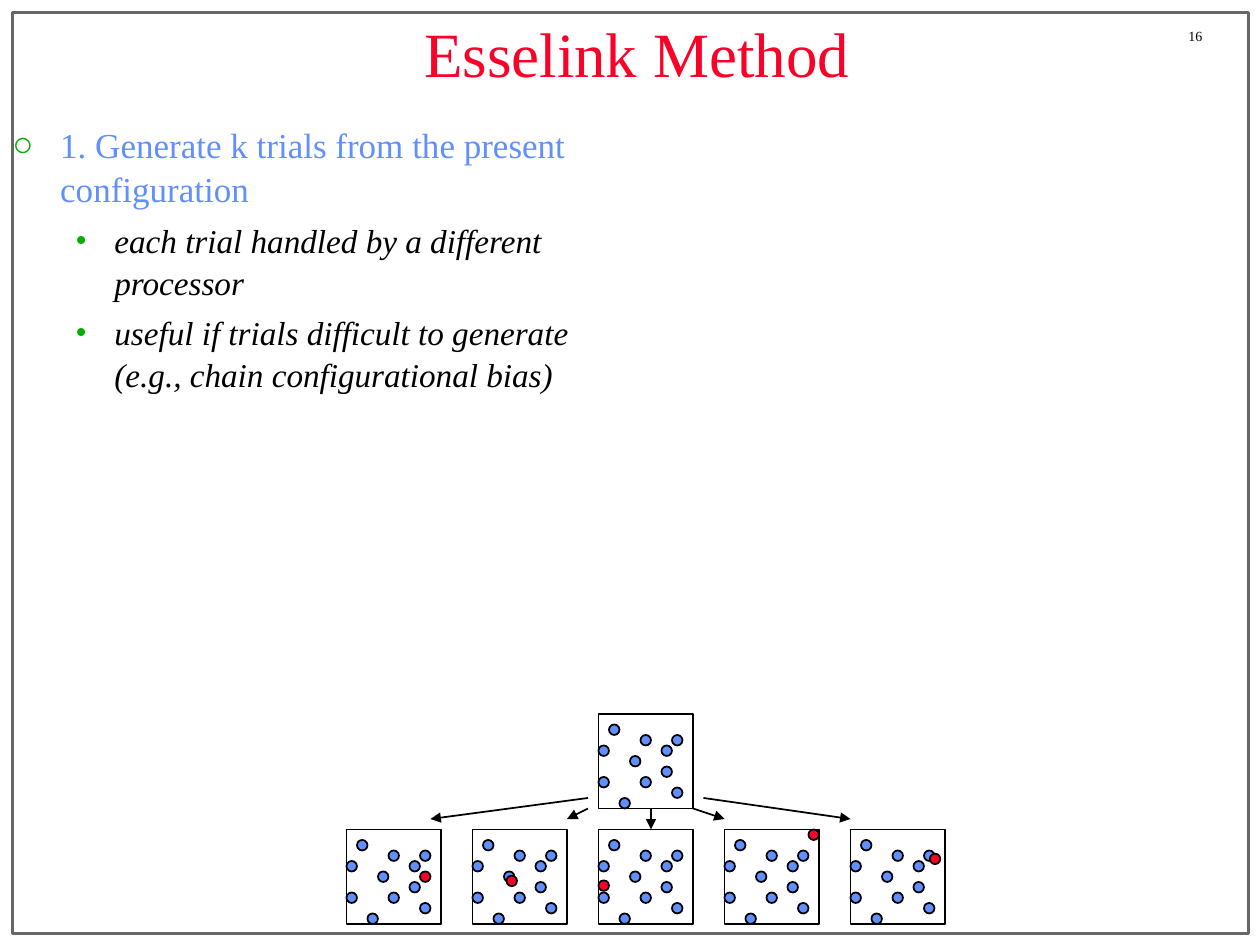
"""Build the Esselink Method slide with its tree of trial configurations."""
import dataclasses

import lxml.etree
import pptx
import pptx.dml.color
import pptx.enum.shapes
import pptx.enum.text
import pptx.oxml.ns
import pptx.util


@dataclasses.dataclass(frozen=True)
class Theme:
    font: str = "Times New Roman"
    red: str = "FC0128"
    blue: str = "618FFD"
    green: str = "00AE00"
    black: str = "000000"
    white: str = "FFFFFF"
    grey: str = "676767"
    title_size: int = 36
    point_size: int = 20
    detail_size: int = 19
    number_size: int = 8
    body_spacing: float = 1.05


theme = Theme()
rgb = pptx.dml.color.RGBColor.from_string
qn = pptx.oxml.ns.qn
Kind = pptx.enum.shapes.MSO_SHAPE
Align = pptx.enum.text.PP_ALIGN
Anchor = pptx.enum.text.MSO_ANCHOR

deck = pptx.Presentation()
deck.slide_width = pptx.util.Inches(10)
deck.slide_height = pptx.util.Inches(7.5)
page = deck.slides.add_slide(deck.slide_layouts[6])
unit = deck.slide_width / 120


def add_outline(shapes, kind, column, row, width, height, fill=None, line=theme.black, weight=1):
    shape = shapes.add_shape(kind, *(round(n * unit) for n in (column, row, width, height)))
    shape.shadow.inherit = False
    if fill:
        shape.fill.solid()
        shape.fill.fore_color.rgb = rgb(fill)
    else:
        shape.fill.background()
    shape.line.color.rgb = rgb(line)
    shape.line.width = pptx.util.Pt(weight)


def add_text(column, row, width, height, lines, align=Align.LEFT, anchor=Anchor.TOP):
    box = page.shapes.add_textbox(*(round(n * unit) for n in (column, row, width, height)))
    box.text_frame.word_wrap = True
    box.text_frame.vertical_anchor = anchor
    for index, (text, size, color, italic) in enumerate(lines):
        para = box.text_frame.paragraphs[0] if index == 0 else box.text_frame.add_paragraph()
        para.alignment = align
        span = para.add_run()
        span.text = text
        span.font.name = theme.font
        span.font.size = pptx.util.Pt(size)
        span.font.color.rgb = rgb(color)
        span.font.italic = italic
    return box


add_outline(page.shapes, Kind.RECTANGLE, 1.2, 1.2, 117.7, 87.7, line=theme.grey, weight=2)
add_text(112, 2, 8, 2.8, [("16", theme.number_size, theme.black, False)])
add_text(9, -1, 103.3, 11.9, [("Esselink Method", theme.title_size, theme.red, False)],
         Align.CENTER, Anchor.MIDDLE)

body = add_text(0, 11, 60, 54, [
    ("1. Generate k trials from the present configuration", theme.point_size, theme.blue, False),
    ("each trial handled by a different processor", theme.detail_size, theme.black, True),
    ("useful if trials difficult to generate (e.g., chain configurational bias)",
     theme.detail_size, theme.black, True),
])
bullets = [(0, 0.38, 0.38, "○"), (1, 0.81, 0.31, "•"), (1, 0.81, 0.31, "•")]
for para, (level, margin, hanging, mark) in zip(body.text_frame.paragraphs, bullets):
    para.level = level
    para.line_spacing = theme.body_spacing
    para.space_before = pptx.util.Pt(4.8 * level)
    properties = para._p.get_or_add_pPr()
    properties.set("marL", str(pptx.util.Inches(margin)))
    properties.set("indent", str(-pptx.util.Inches(hanging)))
    bullet_color = lxml.etree.SubElement(properties, qn("a:buClr"))
    lxml.etree.SubElement(bullet_color, qn("a:srgbClr"), val=theme.green)
    lxml.etree.SubElement(properties, qn("a:buFont"), typeface=theme.font)
    lxml.etree.SubElement(properties, qn("a:buChar"), char=mark)

cell_size = 9
trial_row = 79
trial_columns = [33 + 12 * index for index in range(5)]
particles = [(1, 1), (4, 2), (6, 3), (6, 5), (4, 6), (2, 8), (0, 6), (3, 4), (7, 2), (7, 7), (0, 3)]
for column, row in [(57, 68)] + [(column, trial_row) for column in trial_columns]:
    configuration = page.shapes.add_group_shape()
    add_outline(configuration.shapes, Kind.RECTANGLE, column, row, cell_size, cell_size)
    for across, down in particles:
        add_outline(configuration.shapes, Kind.OVAL, column + across, row + down, 1, 1, theme.blue)

arrows = [(62, 77, 62, 79), (56, 76, 41, 78), (56, 77, 54, 78), (66, 77, 69, 78), (67, 76, 81, 78)]
for ends in arrows:
    arrow = page.shapes.add_connector(pptx.enum.shapes.MSO_CONNECTOR.STRAIGHT,
                                      *(round(n * unit) for n in ends))
    arrow.line.color.rgb = rgb(theme.black)
    arrow.line.width = pptx.util.Pt(1)
    lxml.etree.SubElement(arrow.line._get_or_add_ln(), qn("a:tailEnd"), type="triangle")
    lxml.etree.SubElement(arrow._element.spPr, qn("a:effectLst"))

moved_particles = [(7, 4), (3.24, 4.4), (0, 4.85), (8, 0), (7.56, 2.3)]
for column, (across, down) in zip(trial_columns, moved_particles):
    add_outline(page.shapes, Kind.OVAL, column + across, trial_row + down, 1, 1, theme.red)

deck.save("out.pptx")
